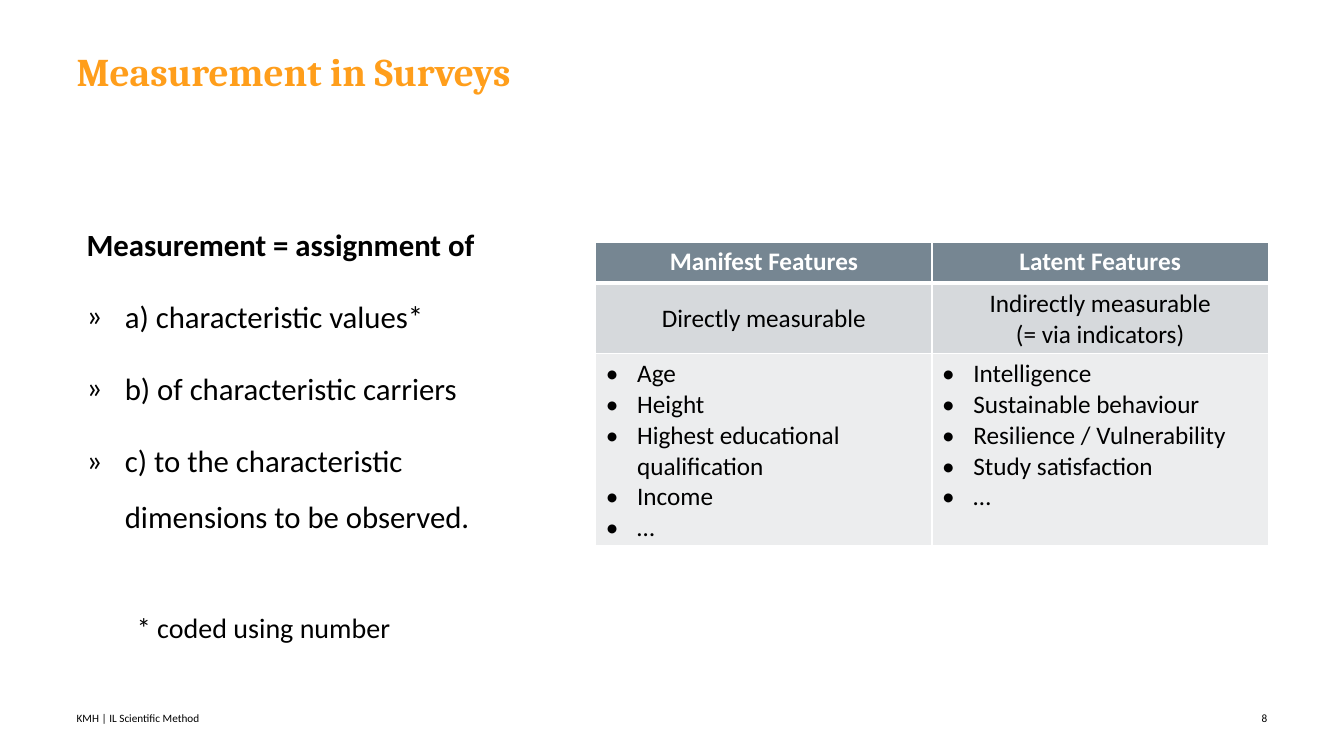
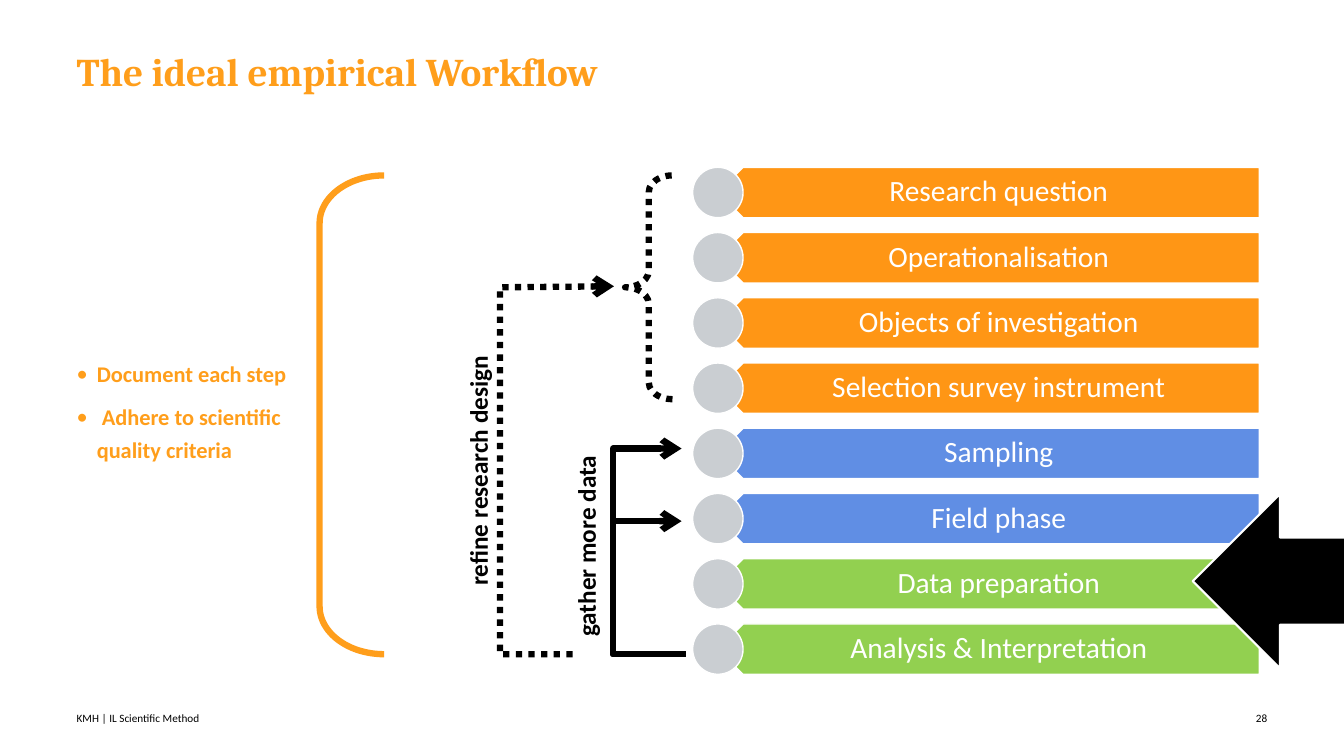
import pptx
import pptx.util
import pptx.dml.color
import pptx.enum.dml
import pptx.enum.shapes
import pptx.enum.text
import pptx.oxml.ns
import lxml.etree

Inches = pptx.util.Inches
Pt = pptx.util.Pt
RGBColor = pptx.dml.color.RGBColor
MSO_SHAPE = pptx.enum.shapes.MSO_SHAPE
PP_ALIGN = pptx.enum.text.PP_ALIGN
MSO_ANCHOR = pptx.enum.text.MSO_ANCHOR
qn = pptx.oxml.ns.qn

COLORS = {
    "title": "FF9E1B", "text": "000000", "white": "FFFFFF",
    "header": "768692", "subheader": "D6D9DC", "cell": "ECEDEE",
    "design": "FF9615", "collection": "608EE4", "analysis": "92D050", "dot": "CACED2",
}
COLORS = {name: RGBColor.from_string(value) for name, value in COLORS.items()}


def write_paragraphs(text_frame, lines, size, color="text", bold=False, font="Calibri",
                     align=PP_ALIGN.LEFT, spacing=1.0, before=0, after=0, bullet=None, indent=0):
    """Append one paragraph per line, starting with the frame's empty first one."""
    for line in lines:
        first = not text_frame.text
        paragraph = text_frame.paragraphs[0] if first else text_frame.add_paragraph()
        if bullet:
            properties = paragraph._p.get_or_add_pPr()
            properties.set("marL", str(Inches(indent)))
            properties.set("indent", str(-Inches(indent)))
            lxml.etree.SubElement(properties, qn("a:buFont"), typeface="Calibri")
            lxml.etree.SubElement(properties, qn("a:buChar"), char=bullet)
        elif indent:
            paragraph._p.get_or_add_pPr().set("marL", str(Inches(indent)))
        paragraph.alignment = align
        paragraph.line_spacing = spacing
        paragraph.space_before = Pt(0 if first else before)
        paragraph.space_after = Pt(after)
        for index, part in enumerate(line.split("\n")):
            if index:
                paragraph.add_line_break()
            run = paragraph.add_run()
            run.text = part
            run.font.name = font
            run.font.size = Pt(size)
            run.font.bold = bold
            run.font.color.rgb = COLORS[color]


def add_text_frame(slide, left, top, width, height, insets=(0, 0, 0, 0),
                   anchor=MSO_ANCHOR.TOP, rotation=0):
    """Add a wrapping text box and return its text frame."""
    box = slide.shapes.add_textbox(Inches(left), Inches(top), Inches(width), Inches(height))
    box.rotation = rotation
    frame = box.text_frame
    frame.word_wrap = True
    frame.vertical_anchor = anchor
    frame.margin_left, frame.margin_top, frame.margin_right, frame.margin_bottom = map(Inches, insets)
    return frame


presentation = pptx.Presentation()
presentation.slide_width = Inches(13.33)
presentation.slide_height = Inches(7.5)

# Title, footer and slide number
slides = []
for title, number in (("Measurement in Surveys", "8"), ("The ideal empirical Workflow", "28")):
    slide = presentation.slides.add_slide(presentation.slide_layouts[6])
    write_paragraphs(add_text_frame(slide, 0.76, 0.52, 9.76, 0.87), [title], 28, "title",
                     bold=True, font="Cambria", spacing=0.9)
    write_paragraphs(add_text_frame(slide, 0.76, 7.04, 5.59, 0.16, anchor=MSO_ANCHOR.MIDDLE),
                     ["KMH | IL Scientific Method"], 8)
    write_paragraphs(add_text_frame(slide, 12.02, 7.04, 0.55, 0.16, anchor=MSO_ANCHOR.MIDDLE),
                     [number], 8, align=PP_ALIGN.RIGHT)
    slides.append(slide)
measurement_slide, workflow_slide = slides

# Measurement: definition
definition = add_text_frame(measurement_slide, 0.76, 1.7, 4.58, 5.04,
                            (0.1, 0.05, 0.1, 0.05), MSO_ANCHOR.MIDDLE)
write_paragraphs(definition, ["Measurement = assignment of"], 22, bold=True, spacing=1.5, after=6)
write_paragraphs(definition, [
    "a) characteristic values*",
    "b) of characteristic carriers",
    "c) to the characteristic dimensions to be observed.",
], 22, spacing=1.5, before=6, after=6, bullet="»", indent=0.38)
write_paragraphs(definition, ["* coded using number"], 20, spacing=1.5, before=36, after=6, indent=0.5)

# Measurement: feature table
features = [
    ("Manifest Features", "Directly measurable",
     ["Age", "Height", "Highest educational qualification", "Income", "…"]),
    ("Latent Features", "Indirectly measurable\n(= via indicators)",
     ["Intelligence", "Sustainable behaviour", "Resilience / Vulnerability", "Study satisfaction", "…"]),
]
row_heights = (0.41, 0.7, 1.9)
row_fills = ("header", "subheader", "cell")
table = measurement_slide.shapes.add_table(
    3, 2, Inches(5.91), Inches(2.4), Inches(6.67), Inches(sum(row_heights))).table
for row, height in zip(table.rows, row_heights):
    row.height = Inches(height)
for column, (heading, measurability, examples) in enumerate(features):
    cells = [table.cell(row, column) for row in range(3)]
    for row, (cell, fill) in enumerate(zip(cells, row_fills)):
        properties = cell._tc.get_or_add_tcPr()
        for side in "LRTB":
            thick = (row, side) in ((0, "B"), (1, "T"))
            border = lxml.etree.SubElement(properties, qn("a:ln" + side), w=str(Pt(3 if thick else 1)))
            solid = lxml.etree.SubElement(border, qn("a:solidFill"))
            lxml.etree.SubElement(solid, qn("a:srgbClr"), val=str(COLORS["white"]))
        cell.fill.solid()
        cell.fill.fore_color.rgb = COLORS[fill]
    cells[1].vertical_anchor = MSO_ANCHOR.MIDDLE
    write_paragraphs(cells[0].text_frame, [heading], 18, "white", bold=True, align=PP_ALIGN.CENTER)
    write_paragraphs(cells[1].text_frame, [measurability], 18, align=PP_ALIGN.CENTER)
    write_paragraphs(cells[2].text_frame, examples, 18, bullet="•", indent=0.31)

# Workflow: steps
steps = [
    ("Research question", "design"),
    ("Operationalisation", "design"),
    ("Objects of investigation", "design"),
    ("Selection survey instrument", "design"),
    ("Sampling", "collection"),
    ("Field phase", "collection"),
    ("Data preparation", "analysis"),
    ("Analysis & Interpretation", "analysis"),
]
first_top, last_top, step_height = 1.66, 6.19, 0.5
step_pitch = (last_top - first_top) / (len(steps) - 1)
for index, (label, phase) in enumerate(steps):
    top = first_top + index * step_pitch
    for kind, left, width, fill in ((MSO_SHAPE.PENTAGON, 7.12, 5.37, phase),
                                    (MSO_SHAPE.OVAL, 6.87, step_height, "dot")):
        shape = workflow_slide.shapes.add_shape(
            kind, Inches(left), Inches(top), Inches(width), Inches(step_height))
        shape.shadow.inherit = False
        shape.fill.solid()
        shape.fill.fore_color.rgb = COLORS[fill]
        shape.line.color.rgb = COLORS["white"]
        shape.line.width = Pt(1)
        if kind == MSO_SHAPE.PENTAGON:
            shape.rotation = 180
    label_frame = add_text_frame(workflow_slide, 7.25, top, 5.25, step_height,
                                 (0.22, 0.09, 0.16, 0.09), MSO_ANCHOR.MIDDLE)
    write_paragraphs(label_frame, [label], 21, "white", align=PP_ALIGN.CENTER, spacing=0.9)

# Workflow: feedback routes, each from its start to its arrowhead
outlines = []
for points, dotted in (
    ([(6.8, 6.49), (6.08, 6.49), (6.08, 4.45), (6.76, 4.45)], False),
    ([(6.8, 6.49), (6.08, 6.49), (6.08, 5.17), (6.76, 5.17)], False),
    ([(5.68, 6.49), (4.96, 6.49), (4.96, 2.85), (6.09, 2.84)], True),
):
    corners = [(Inches(x), Inches(y)) for x, y in points]
    builder = workflow_slide.shapes.build_freeform(*corners[0])
    builder.add_line_segments(corners[1:], close=False)
    route = builder.convert_to_shape()
    outlines.append((route, "text", dotted, True))

# Workflow: brace and bracket
brace = workflow_slide.shapes.add_shape(
    MSO_SHAPE.LEFT_BRACE, Inches(6.2), Inches(1.74), Inches(0.47), Inches(2.22))
brace.adjustments[0] = 0.35
bracket = workflow_slide.shapes.add_shape(
    MSO_SHAPE.LEFT_BRACKET, Inches(3.17), Inches(1.74), Inches(0.64), Inches(4.75))
bracket.adjustments[0] = 0.74
outlines += [(brace, "text", True, False), (bracket, "title", False, False)]

for shape, color, dotted, arrow in outlines:
    shape.shadow.inherit = False
    shape.fill.background()
    shape.line.color.rgb = COLORS[color]
    shape.line.width = Pt(4.5)
    if dotted:
        shape.line.dash_style = pptx.enum.dml.MSO_LINE.ROUND_DOT
    if arrow:
        lxml.etree.SubElement(shape.line._get_or_add_ln(), qn("a:tailEnd"), type="arrow")

# Workflow: route labels and advice
for label, left, top, width in (("gather more data", 4.8, 5.25, 1.94),
                                ("refine research design", 2.88, 4.5, 3.64)):
    write_paragraphs(add_text_frame(workflow_slide, left, top, width, 0.34, rotation=270),
                     [label], 18, bold=True, align=PP_ALIGN.CENTER, spacing=1.2)
write_paragraphs(add_text_frame(workflow_slide, 0.76, 3.52, 2.19, 1.06),
                 ["Document each step", " Adhere to scientific quality criteria"], 16, "title",
                 bold=True, spacing=1.2, before=8, bullet="•", indent=0.2)

# Workflow: pointer to the current step
pointer = workflow_slide.shapes.add_shape(
    MSO_SHAPE.LEFT_ARROW, Inches(11.83), Inches(4.9), Inches(3), Inches(1.73))
pointer.shadow.inherit = False
pointer.fill.solid()
pointer.fill.fore_color.rgb = COLORS["text"]
pointer.line.color.rgb = COLORS["white"]
pointer.line.width = Pt(1.5)

presentation.save("out.pptx")
